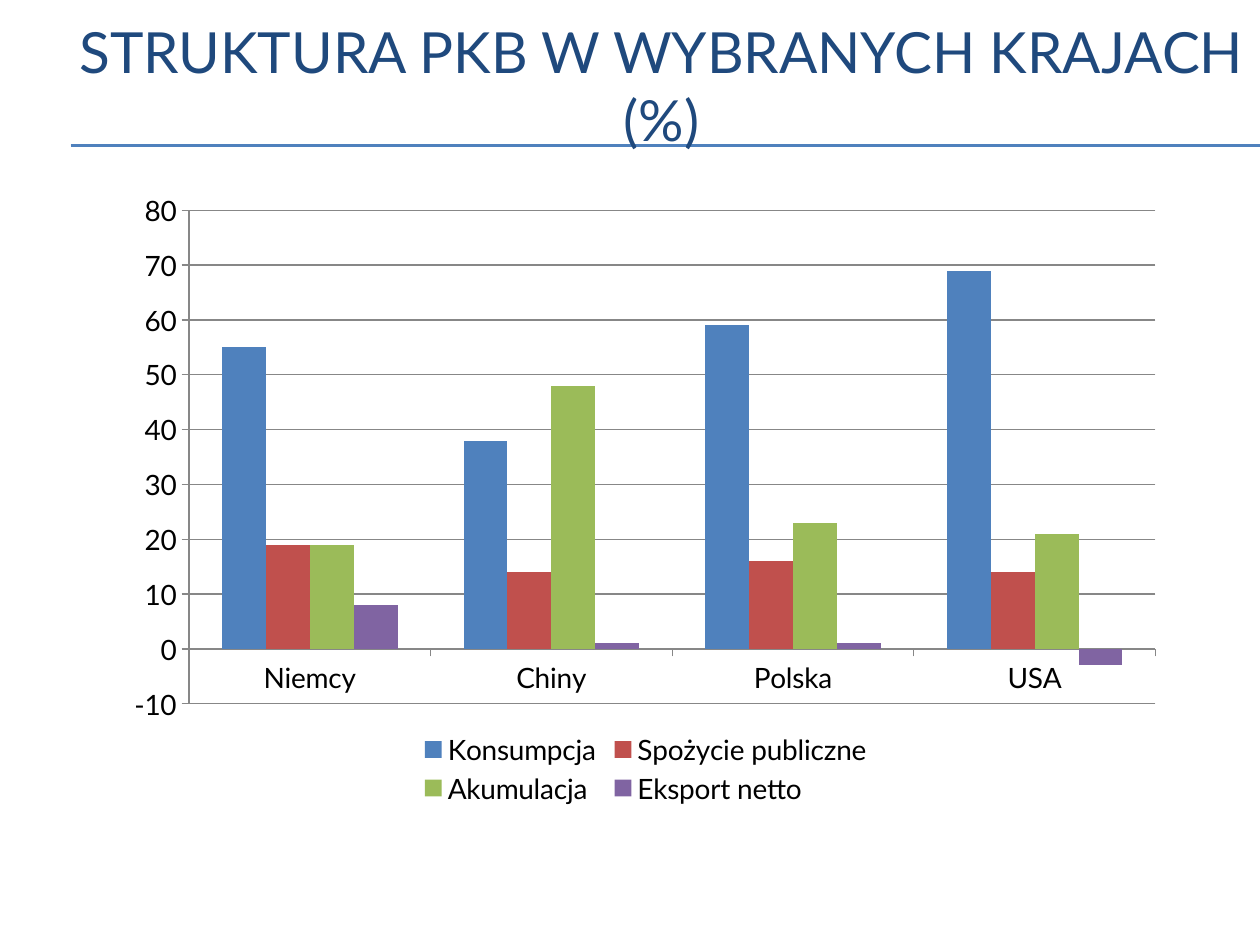
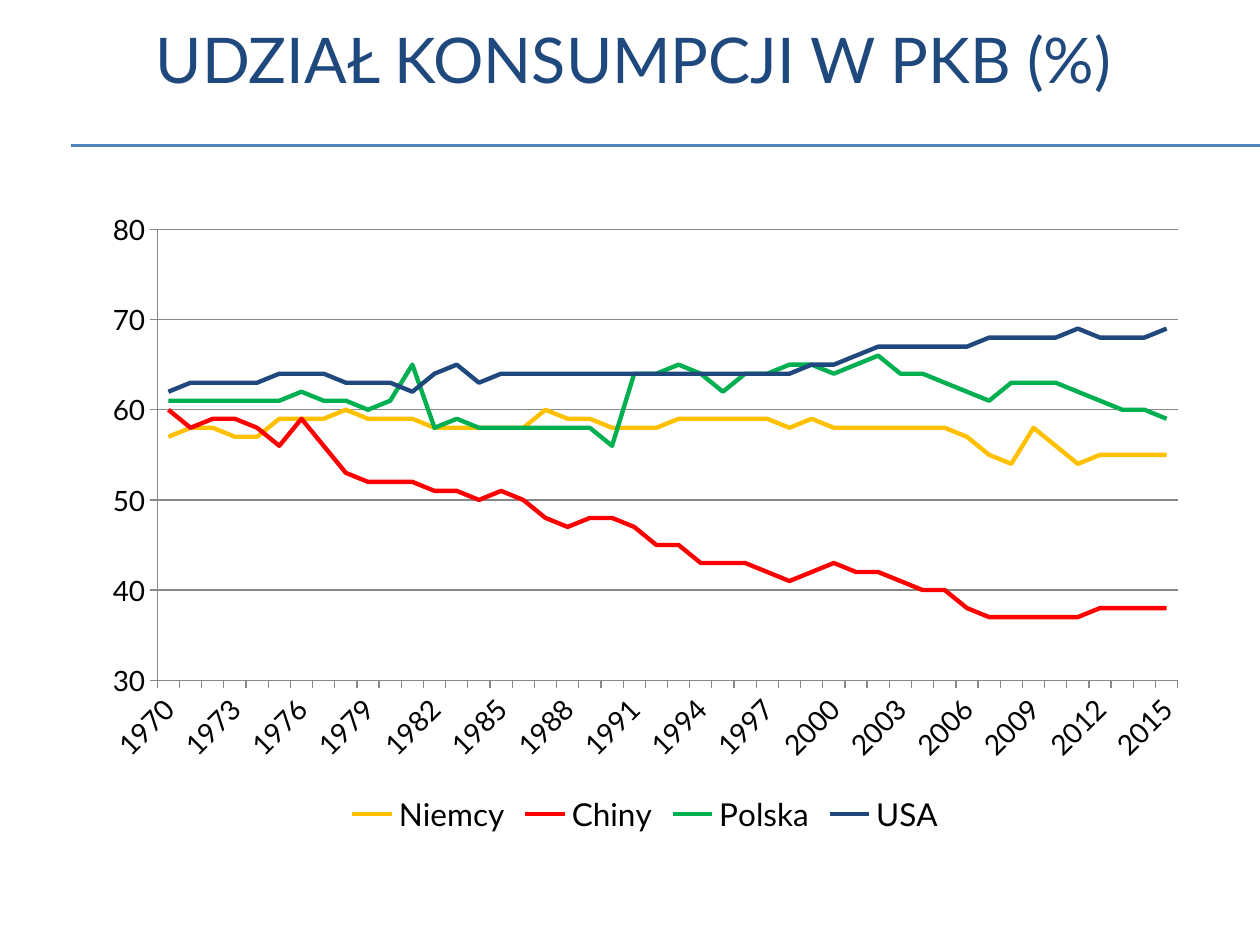
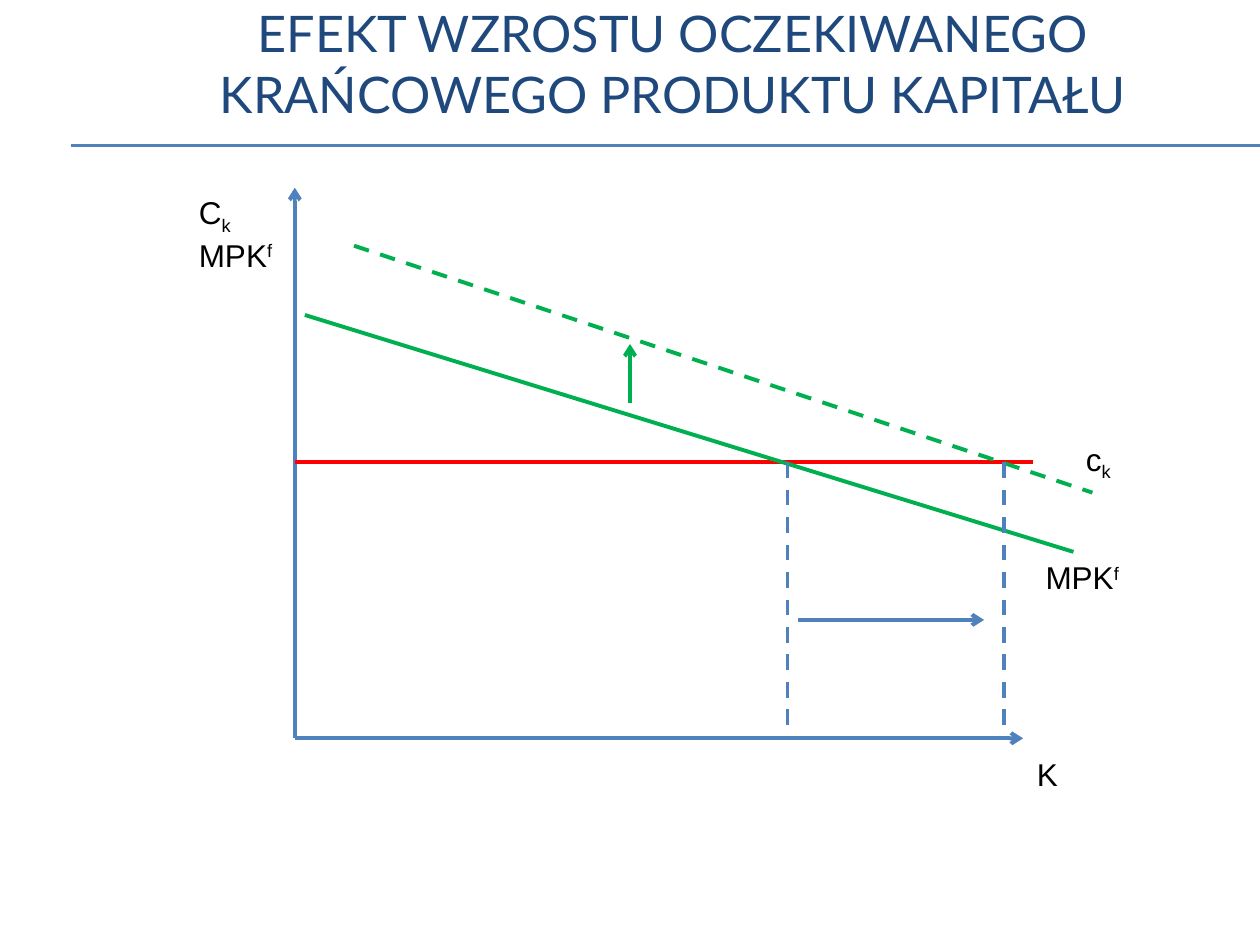
import pptx
import pptx.chart.data
import pptx.dml.color
import pptx.enum.chart
import pptx.enum.dml
import pptx.enum.shapes
import pptx.enum.text
import pptx.oxml
import pptx.oxml.ns
import pptx.util

Inches = pptx.util.Inches
Pt = pptx.util.Pt

BLUE, NAVY, GREEN, RED, AMBER = "4F81BD", "1F497D", "00B050", "FF0000", "FFC000"
BLACK, GRID_GREY = "000000", "878787"
TITLE_FONT, LABEL_FONT = "Lato", "Arial"
SUB, SUPER = -25, 30

GDP_STRUCTURE = {
    "Konsumpcja": (BLUE, [55, 38, 59, 69]),
    "Spożycie publiczne": ("C0504D", [19, 14, 16, 14]),
    "Akumulacja": ("9BBB59", [19, 48, 23, 21]),
    "Eksport netto": ("8064A2", [8, 1, 1, -3]),
}
CONSUMPTION_SHARE = {
    "Niemcy": (AMBER, [
        57, 58, 58, 57, 57, 59, 59, 59, 60, 59, 59, 59, 58, 58, 58, 58,
        58, 60, 59, 59, 58, 58, 58, 59, 59, 59, 59, 59, 58, 59, 58, 58,
        58, 58, 58, 58, 57, 55, 54, 58, 56, 54, 55, 55, 55, 55]),
    "Chiny": (RED, [
        60, 58, 59, 59, 58, 56, 59, 56, 53, 52, 52, 52, 51, 51, 50, 51,
        50, 48, 47, 48, 48, 47, 45, 45, 43, 43, 43, 42, 41, 42, 43, 42,
        42, 41, 40, 40, 38, 37, 37, 37, 37, 37, 38, 38, 38, 38]),
    "Polska": (GREEN, [
        61, 61, 61, 61, 61, 61, 62, 61, 61, 60, 61, 65, 58, 59, 58, 58,
        58, 58, 58, 58, 56, 64, 64, 65, 64, 62, 64, 64, 65, 65, 64, 65,
        66, 64, 64, 63, 62, 61, 63, 63, 63, 62, 61, 60, 60, 59]),
    "USA": (NAVY, [
        62, 63, 63, 63, 63, 64, 64, 64, 63, 63, 63, 62, 64, 65, 63, 64,
        64, 64, 64, 64, 64, 64, 64, 64, 64, 64, 64, 64, 64, 65, 65, 66,
        67, 67, 67, 67, 67, 68, 68, 68, 68, 69, 68, 68, 68, 69]),
}


def rgb(value):
    return pptx.dml.color.RGBColor.from_string(value)


def apply_format(target, values):
    for name, value in values.items():
        setattr(target, name, value)


def format_font(font, size, name, color=BLACK):
    apply_format(font, {"size": Pt(size), "name": name, "bold": False})
    font.color.rgb = rgb(color)


def add_line(page, start, end, color, width=2.25, dashed=False, arrow=False):
    line = page.shapes.add_connector(
        pptx.enum.shapes.MSO_CONNECTOR.STRAIGHT,
        *(Inches(value) for value in (*start, *end)))
    line.line.color.rgb = rgb(color)
    line.line.width = Pt(width)
    if dashed:
        line.line.dash_style = pptx.enum.dml.MSO_LINE.DASH
    properties = line.element.spPr
    if arrow:
        tail = pptx.oxml.parse_xml(
            f'<a:tailEnd {pptx.oxml.ns.nsdecls("a")} type="arrow"/>')
        properties.find(pptx.oxml.ns.qn("a:ln")).append(tail)
    properties.append(pptx.oxml.parse_xml(
        f'<a:effectLst {pptx.oxml.ns.nsdecls("a")}/>'))
    return line


def add_page(deck, title, place, size):
    page = deck.slides.add_slide(deck.slide_layouts.get_by_name("Title Only"))
    box = page.shapes.title
    apply_format(box, dict(zip(("left", "top", "width", "height"),
                               map(Inches, place))))
    frame = box.text_frame
    frame.text = title
    apply_format(frame, {
        "word_wrap": True,
        "auto_size": pptx.enum.text.MSO_AUTO_SIZE.NONE,
        "vertical_anchor": pptx.enum.text.MSO_ANCHOR.MIDDLE,
    })
    para = frame.paragraphs[0]
    para.alignment = pptx.enum.text.PP_ALIGN.CENTER
    format_font(para.runs[0].font, size, TITLE_FONT, NAVY)
    return page


def add_title_rule(page):
    """Put the double rule on the layout, so that every page shows it."""
    for y in (1.15, 1.16):
        rule = add_line(page, (0.56, y), (10, y), BLUE, 0.75)
        page.slide_layout.shapes.element.append(rule.element)


def add_label(page, place, *lines):
    """Each line is a list of (text, baseline shift in percent)."""
    frame = page.shapes.add_textbox(*map(Inches, place)).text_frame
    frame.word_wrap = True
    for number, spans in enumerate(lines):
        para = frame.add_paragraph() if number else frame.paragraphs[0]
        for text, shift in spans:
            span = para.add_run()
            span.text = text
            format_font(span.font, 18, LABEL_FONT)
            if shift:
                span.font._element.set("baseline", str(shift * 1000))


def set_plot_area(chart, place):
    parts = "".join(f'<c:{tag} val="{value}"/>'
                    for tag, value in zip("xywh", place))
    layout = pptx.oxml.parse_xml(
        f'<c:layout {pptx.oxml.ns.nsdecls("c")}><c:manualLayout>'
        '<c:layoutTarget val="inner"/><c:xMode val="edge"/>'
        f'<c:yMode val="edge"/>{parts}</c:manualLayout></c:layout>')
    area = chart.element.chart.plotArea
    for old in area.findall(pptx.oxml.ns.qn("c:layout")):
        area.remove(old)
    area.insert(0, layout)


def add_chart(page, kind, place, categories, table, plot_area, minimum,
              legend_size):
    data = pptx.chart.data.CategoryChartData()
    data.categories = categories
    for name, (_, values) in table.items():
        data.add_series(name, values)
    chart = page.shapes.add_chart(kind, *map(Inches, place), data).chart
    format_font(chart.font, 10, TITLE_FONT)
    apply_format(chart, {"has_title": False, "has_legend": True})
    apply_format(chart.legend, {
        "position": pptx.enum.chart.XL_LEGEND_POSITION.BOTTOM,
        "include_in_layout": False,
    })
    format_font(chart.legend.font, legend_size, TITLE_FONT)
    set_plot_area(chart, plot_area)

    apply_format(chart.value_axis, {
        "minimum_scale": minimum, "maximum_scale": 80, "major_unit": 10,
        "has_major_gridlines": True,
    })
    chart.category_axis.has_major_gridlines = False
    for axis in (chart.category_axis, chart.value_axis):
        axis.major_tick_mark = pptx.enum.chart.XL_TICK_MARK.OUTSIDE
        format_font(axis.tick_labels.font, 16, TITLE_FONT)
    for ruled in (chart.category_axis, chart.value_axis,
                  chart.value_axis.major_gridlines):
        ruled.format.line.color.rgb = rgb(GRID_GREY)
        ruled.format.line.width = Pt(0.75)

    chart.plots[0].vary_by_categories = False
    for series, (color, _) in zip(chart.plots[0].series, table.values()):
        if kind == pptx.enum.chart.XL_CHART_TYPE.LINE:
            series.smooth = False
            series.format.line.color.rgb = rgb(color)
            series.format.line.width = Pt(2.5)
        else:
            series.invert_if_negative = False
            series.format.fill.solid()
            series.format.fill.fore_color.rgb = rgb(color)
    return chart


def add_capital_diagram(page):
    left, base, cost = 2.34, 5.86, 3.67
    old_capital, new_capital = 6.25, 7.97
    add_line(page, (left, base), (left, 1.49), BLUE, arrow=True)
    add_line(page, (left, base), (8.12, base), BLUE, arrow=True)
    add_label(page, (1.48, 1.48, 1.64, 0.71),
              [("C", 0), ("k", SUB)], [("MPK", 0), ("f", SUPER)])
    add_label(page, (8.13, 5.94, 0.62, 0.4), [("K", 0)])
    add_line(page, (left, cost), (8.2, cost), RED)
    add_label(page, (8.52, 3.44, 0.78, 0.4), [("c", 0), ("k", SUB)])
    add_line(page, (2.42, 2.5), (8.52, 4.38), GREEN)
    add_label(page, (8.2, 4.38, 0.94, 0.4), [("MPK", 0), ("f", SUPER)])
    add_line(page, (2.81, 1.95), (8.67, 3.91), GREEN, dashed=True)
    add_line(page, (5, 3.2), (5, 2.73), GREEN, arrow=True)
    for capital in (old_capital, new_capital):
        add_line(page, (capital, cost), (capital, base), BLUE, dashed=True)
    add_line(page, (6.33, 4.92), (7.81, 4.92), BLUE, arrow=True)


def main():
    deck = pptx.Presentation()
    deck.slide_width, deck.slide_height = Inches(10), Inches(7.5)

    page = add_page(deck, "STRUKTURA PKB W WYBRANYCH KRAJACH (%)",
                    (0.5, 0.21, 9.5, 0.92), 32.4)
    add_title_rule(page)
    columns = add_chart(
        page, pptx.enum.chart.XL_CHART_TYPE.COLUMN_CLUSTERED,
        (0.91, 1.47, 8.43, 4.96), ["Niemcy", "Chiny", "Polska", "USA"],
        GDP_STRUCTURE, (0.07, 0.04, 0.91, 0.79), -10, 16)
    apply_format(columns.plots[0], {"gap_width": 150, "overlap": 0})

    page = add_page(deck, "UDZIAŁ KONSUMPCJI W PKB (%)",
                    (0.28, 0, 9.5, 0.92), 36)
    trends = add_chart(
        page, pptx.enum.chart.XL_CHART_TYPE.LINE,
        (0.67, 1.62, 8.9, 5.04), [str(year) for year in range(1970, 2016)],
        CONSUMPTION_SHARE, (0.065, 0.04, 0.91, 0.71), 30, 18)
    labels = trends.category_axis._element.txPr
    labels.find(pptx.oxml.ns.qn("a:bodyPr")).set("rot", str(-45 * 60000))

    page = add_page(deck, "EFEKT WZROSTU OCZEKIWANEGO KRAŃCOWEGO PRODUKTU KAPITAŁU",
                    (1.09, 0, 8.5, 1), 28.8)
    add_capital_diagram(page)

    deck.save("out.pptx")


if __name__ == "__main__":
    main()
